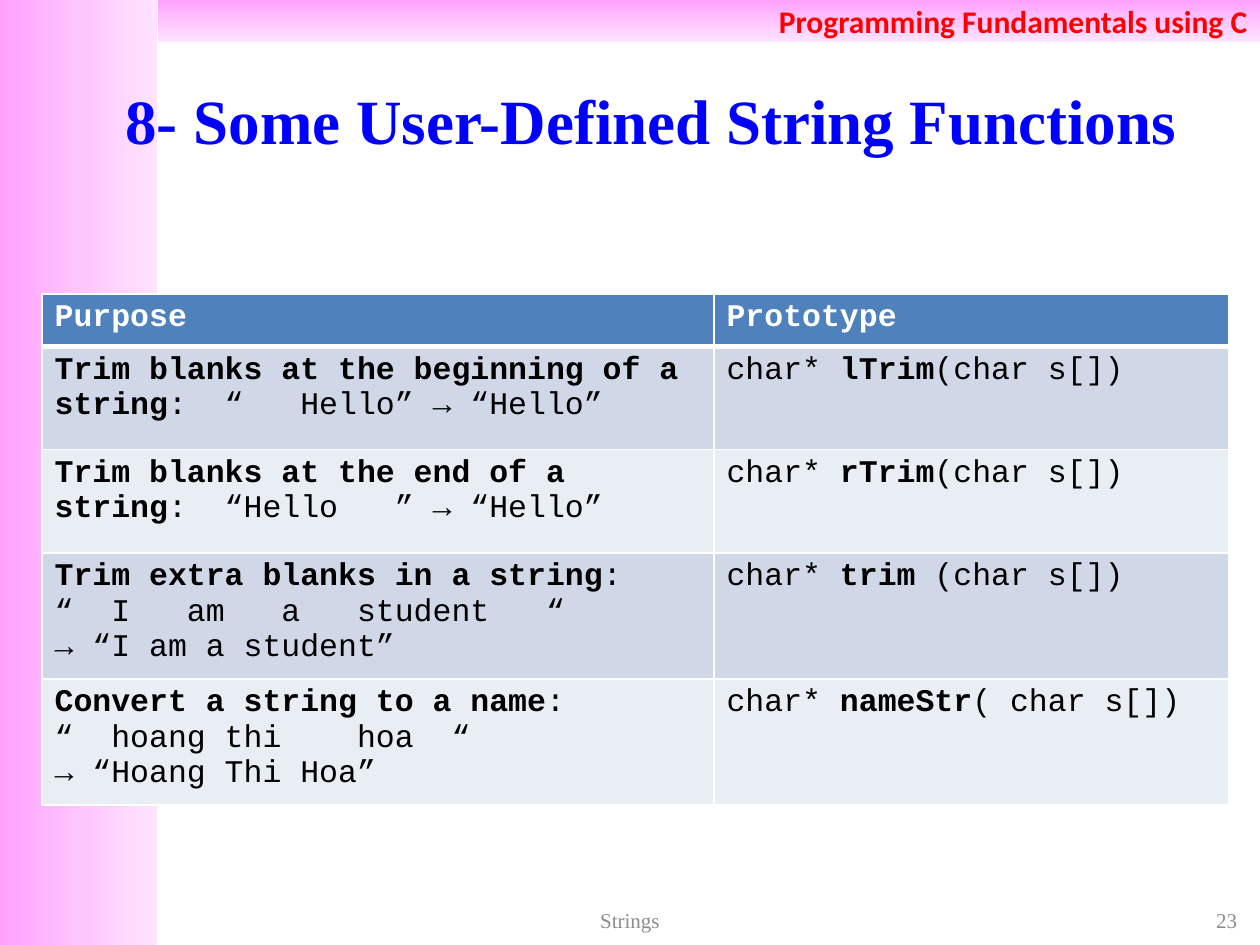
from copy import deepcopy

from lxml import etree
from pptx import Presentation
from pptx.dml.color import RGBColor
from pptx.enum import shapes, text
from pptx.oxml import ns
from pptx.util import Pt


class Theme:
    pinks = ((0, "FFA0FF"), (0.5, "FFC5FF"), (1, "FFE3FF"))
    red, blue, gray = "FF0000", "0000FF", "8C8C8C"
    white, black = "FFFFFF", "000000"
    head, bands = "4F81BD", ("D0D8E8", "E9EDF4")
    sans, serif, mono = "Calibri", "Times New Roman", "Courier New"
    title, body, small = 36, 18, 12


LEFT, MID, RIGHT = text.PP_ALIGN.LEFT, text.PP_ALIGN.CENTER, text.PP_ALIGN.RIGHT


class Deck:
    def __init__(self, theme, wide, high):
        self.theme = theme
        self.prs = Presentation()
        self.prs.slide_width, self.prs.slide_height = Pt(wide), Pt(high)
        self.slide = self.prs.slides.add_slide(self.prs.slide_layouts[6])

    def line(self, para, words, face, size, color, bold=False, align=LEFT):
        """Fill a paragraph; every second part between bars is bold."""
        para.alignment = align
        font = para.font
        font.name, font.size = face, Pt(size)
        font.color.rgb = RGBColor.from_string(color)
        font.bold = bold
        for i, part in enumerate(words.split("|")):
            if part:
                run = para.add_run()
                run.text = part
                if i % 2:
                    run.font.bold = True

    def band(self, box, angle):
        rect = self.slide.shapes.add_shape(
            shapes.MSO_SHAPE.RECTANGLE, *map(Pt, box))
        rect.shadow.inherit = False
        rect.line.fill.background()
        fill = rect.fill
        fill.gradient()
        fill.gradient_angle = angle
        stops = rect.element.spPr.find(".//" + ns.qn("a:gsLst"))
        stops.append(deepcopy(stops[-1]))
        for stop, (pos, color) in zip(fill.gradient_stops, self.theme.pinks):
            stop.position = pos
            stop.color.rgb = RGBColor.from_string(color)
        return rect

    def label(self, box, words, *style, **more):
        shape = self.slide.shapes.add_textbox(*map(Pt, box))
        self.caption(shape, words, *style, **more)

    def caption(self, shape, words, *style, **more):
        frame = shape.text_frame
        frame.word_wrap = True
        frame.vertical_anchor = text.MSO_ANCHOR.MIDDLE
        self.line(frame.paragraphs[0], words, *style, **more)

    def edge(self, cell, **widths):
        props = cell._tc.get_or_add_tcPr()
        for i, side in enumerate("LRTB"):
            rule = etree.Element(ns.qn("a:ln" + side),
                                 w=str(int(Pt(widths.get(side, 1)))))
            paint = etree.SubElement(rule, ns.qn("a:solidFill"))
            etree.SubElement(paint, ns.qn("a:srgbClr"), val=self.theme.white)
            props.insert(i, rule)

    def table(self, left, top, cols, highs, rows):
        t = self.theme
        grid = self.slide.shapes.add_table(
            len(rows), len(cols), Pt(left), Pt(top),
            Pt(sum(cols)), Pt(sum(highs))).table
        for col, wide in zip(grid.columns, cols):
            col.width = Pt(wide)
        for r, (row, high) in enumerate(zip(rows, highs)):
            grid.rows[r].height = Pt(high)
            # Thick rule between header and body
            thick = {0: {"B": 3}, 1: {"T": 3}}.get(r, {})
            for c, words in enumerate(row):
                cell = grid.cell(r, c)
                cell.fill.solid()
                cell.fill.fore_color.rgb = RGBColor.from_string(
                    t.bands[(r - 1) % 2] if r else t.head)
                self.edge(cell, **thick)
                frame = cell.text_frame
                for i, part in enumerate(words.split("\n")):
                    para = frame.add_paragraph() if i else frame.paragraphs[0]
                    self.line(para, part, t.mono, t.body,
                              t.black if r else t.white, bold=not r)


ROWS = [
    ("Purpose", "Prototype"),
    ("|Trim blanks at the beginning of a string|:  “   Hello” → “Hello”",
     "char* |lTrim|(char s[])"),
    ("|Trim blanks at the end of a string|:  “Hello   ” → “Hello”",
     "char* |rTrim|(char s[])"),
    ("|Trim extra blanks in a string|:\n“  I   am   a   student   “\n"
     "→ “I am a student”",
     "char* |trim| (char s[])"),
    ("|Convert a string to a name|:\n“  hoang thi    hoa  “\n"
     "→ “Hoang Thi Hoa”",
     "char* |nameStr|( char s[])"),
]


def main():
    t = Theme()
    deck = Deck(t, 720, 540)

    # Side and top bands
    deck.band((0, 0, 90, 540), 0)
    top = deck.band((90, 0, 630, 24), 270)
    deck.caption(top, "Programming Fundamentals using C", t.sans, t.body,
                 t.red, bold=True, align=RIGHT)

    # Title
    deck.label((60, 22, 624, 92), "8- Some User-Defined String Functions",
               t.serif, t.title, t.blue, bold=True, align=MID)

    # Function table
    deck.table(24, 168, (384, 294), (30, 59, 59, 68, 68), ROWS)

    # Footer
    deck.label((546, 516, 168, 20), "23", t.serif, t.small, t.gray, align=RIGHT)
    deck.label((246, 516, 228, 20), "Strings", t.serif, t.small, t.gray, align=MID)

    deck.prs.save("out.pptx")


if __name__ == "__main__":
    main()
